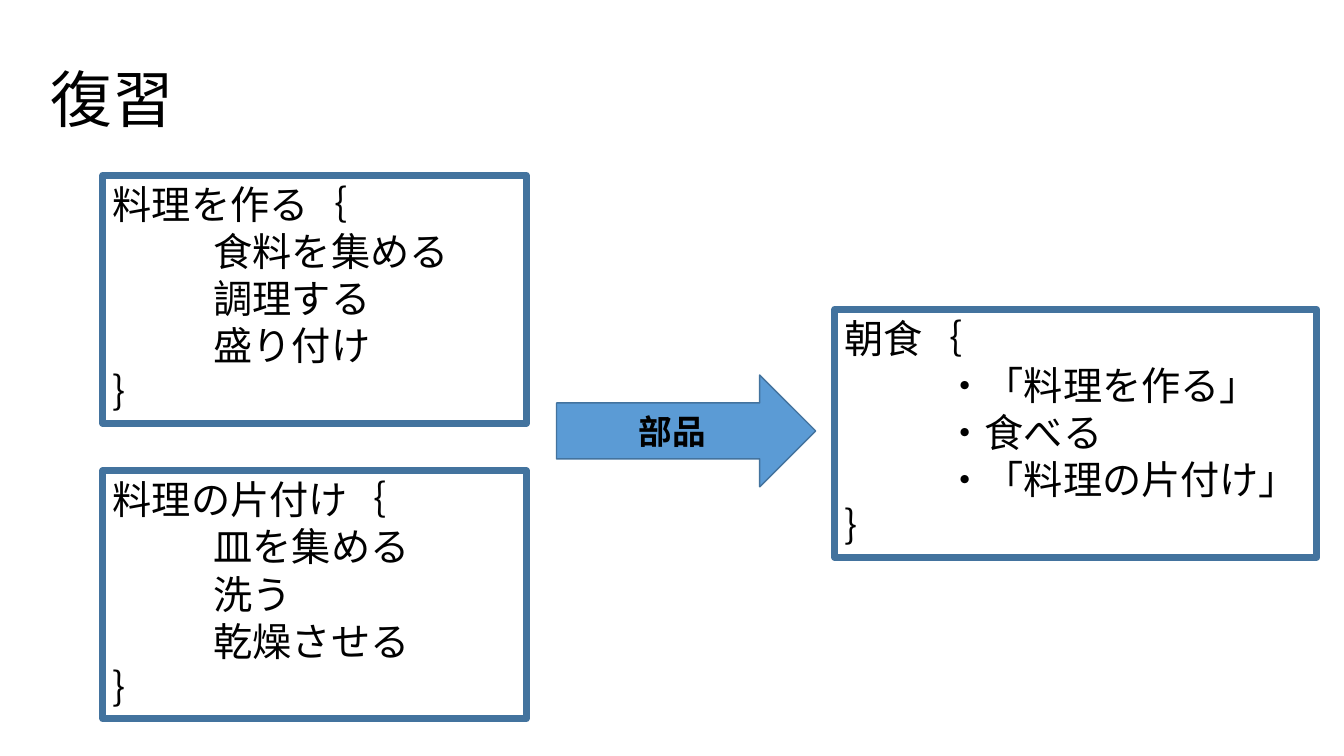
from pptx import Presentation
from pptx import util as u
from pptx.dml.color import RGBColor
from pptx.enum import shapes, text

COLORS = {"text": "000000", "border": "43739E", "arrow": "5B9BD5"}
PX = 9144  # EMU per px, 100 px to the inch
INDENT = 100
BOX_HEIGHT = 246


def scaled(box):
    return [u.Emu(length * PX) for length in box]


def color(name):
    return RGBColor.from_string(COLORS[name])


def format_text(paragraph, size, font="Calibri", bold=False):
    for run in paragraph.runs:
        run.font.size = u.Pt(size)
        run.font.name = font
        run.font.bold = bold
        run.font.color.rgb = color("text")


def add_outlined_shape(slide, kind, box, line_width):
    shape = slide.shapes.add_shape(kind, *scaled(box))
    shape.shadow.inherit = False
    shape.line.color.rgb = color("border")
    shape.line.width = u.Pt(line_width)
    shape.text_frame.word_wrap = True
    return shape


def place_title(slide, box, wording):
    title = slide.shapes.title
    title.left, title.top, title.width, title.height = scaled(box)
    frame = title.text_frame
    frame.text = wording
    frame.auto_size = text.MSO_AUTO_SIZE.NONE
    frame.vertical_anchor = text.MSO_ANCHOR.MIDDLE
    paragraph = frame.paragraphs[0]
    paragraph.alignment = text.PP_ALIGN.LEFT
    paragraph.line_spacing = 0.9
    format_text(paragraph, 44, "Cambria")


def add_procedure(slide, box, name, steps):
    shape = add_outlined_shape(slide, shapes.MSO_SHAPE.RECTANGLE, box, 5)
    shape.fill.background()
    frame = shape.text_frame
    frame.vertical_anchor = text.MSO_ANCHOR.TOP
    frame.auto_size = text.MSO_AUTO_SIZE.SHAPE_TO_FIT_TEXT
    frame.text = "\n".join([name + "｛", *steps, "｝"])
    for paragraph in frame.paragraphs:
        paragraph.alignment = text.PP_ALIGN.LEFT
        format_text(paragraph, 28)
    # Steps sit one indent inside the braces
    for paragraph in frame.paragraphs[1:-1]:
        paragraph._p.get_or_add_pPr().set("marL", str(INDENT * PX))


def add_arrow(slide, box, label):
    arrow = add_outlined_shape(slide, shapes.MSO_SHAPE.RIGHT_ARROW, box, 1)
    arrow.fill.solid()
    arrow.fill.fore_color.rgb = color("arrow")
    frame = arrow.text_frame
    frame.text = label
    frame.vertical_anchor = text.MSO_ANCHOR.MIDDLE
    frame.paragraphs[0].alignment = text.PP_ALIGN.CENTER
    format_text(frame.paragraphs[0], 24, bold=True)


def build_review_slide(presentation):
    slide = presentation.slides.add_slide(presentation.slide_layouts[5])
    place_title(slide, (40, 29, 1150, 145), "復習")

    # Parts on the left
    add_procedure(slide, (102, 174, 420, BOX_HEIGHT), "料理を作る",
                  ["食料を集める", "調理する", "盛り付け"])
    add_procedure(slide, (102, 467, 420, BOX_HEIGHT), "料理の片付け",
                  ["皿を集める", "洗う", "乾燥させる"])

    # Arrow to the procedure that uses them
    add_arrow(slide, (552, 372, 257, 111), "部品")
    add_procedure(slide, (828, 307, 478, BOX_HEIGHT), "朝食",
                  ["・「料理を作る」", "・食べる", "・「料理の片付け」"])


def main():
    presentation = Presentation()
    presentation.slide_width, presentation.slide_height = scaled((1333, 750))
    build_review_slide(presentation)
    presentation.save("out.pptx")


if __name__ == "__main__":
    main()
